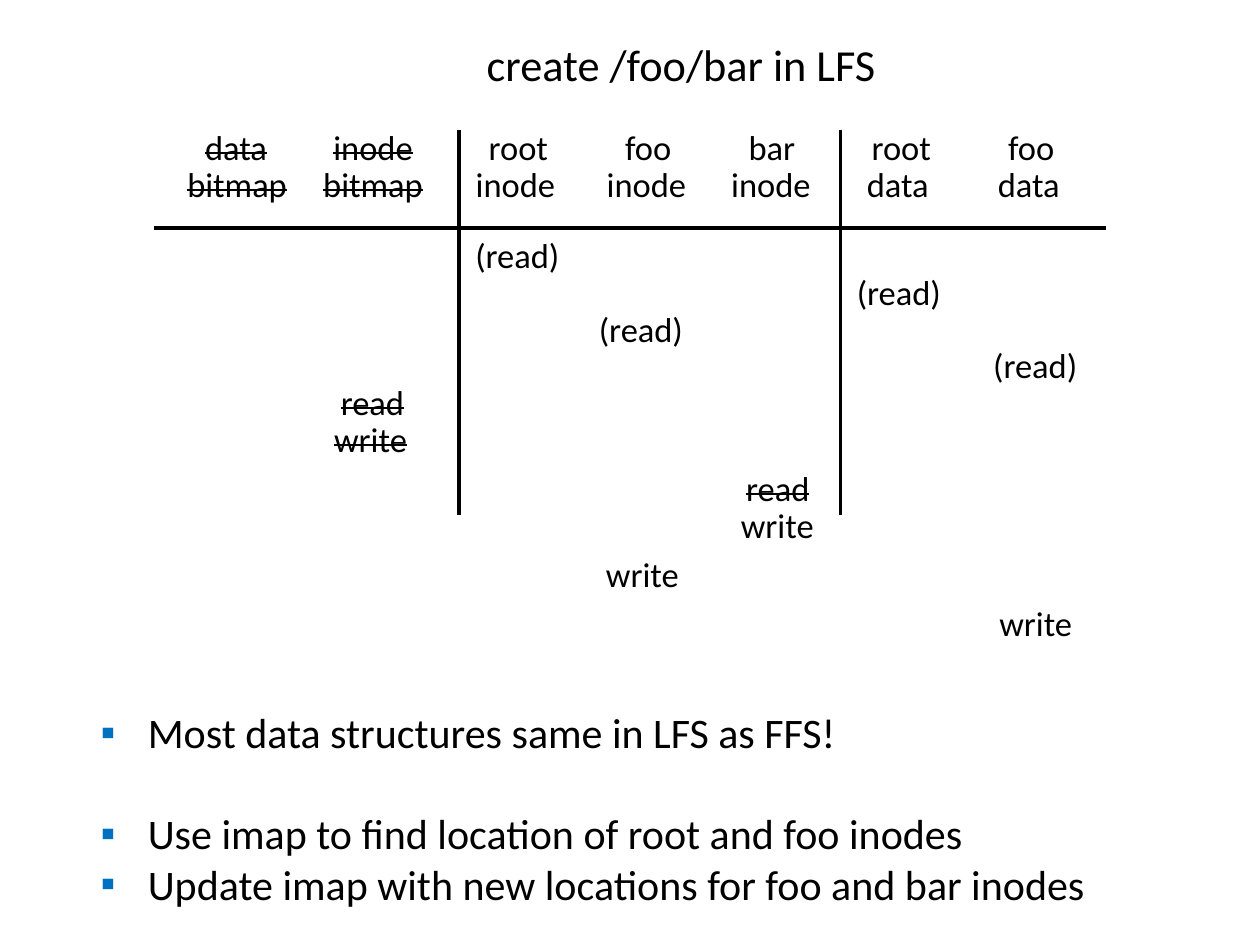
from lxml import etree
from pptx import Presentation
from pptx.dml.color import RGBColor
from pptx.enum.shapes import MSO_CONNECTOR
from pptx.enum.text import MSO_ANCHOR, MSO_AUTO_SIZE, PP_ALIGN
from pptx.oxml.ns import qn
from pptx.util import Cm, Pt

STRAIGHT = MSO_CONNECTOR.STRAIGHT
MIDDLE = MSO_ANCHOR.MIDDLE
GROW = MSO_AUTO_SIZE.SHAPE_TO_FIT_TEXT
CENTER = PP_ALIGN.CENTER

BLACK = RGBColor(0x00, 0x00, 0x00)
BLUE = RGBColor(0x00, 0x70, 0xC0)
FONT = "Calibri"
CELL_PT = 19.7
CELL_H, ROW, GAP = 1.04, 0.74, 0.25  # cell height, row pitch, extra group gap (cm)

# Label widths in cm
WIDTHS = {"data": 1.45, "inode": 1.83, "bitmap": 2.24, "root": 1.4, "foo": 1.14,
          "bar": 1.14, "(read)": 1.9, "read": 1.5, "write": 1.68}

# Column heads: upper word and its centre, lower word and its centre, struck out
HEADS = [
    ("data", 1.66, "bitmap", 1.68, True),
    ("inode", 4.42, "bitmap", 4.42, True),
    ("root", 7.35, "inode", 7.29, False),
    ("foo", 9.97, "inode", 9.93, False),
    ("bar", 12.46, "inode", 12.44, False),
    ("root", 15.07, "data", 15.0, False),
    ("foo", 17.69, "data", 17.64, False),
]

# Operations in time order: word, centre, starts a new group, struck out
OPERATIONS = [
    ("(read)", 7.33, False, False),
    ("(read)", 15.02, False, False),
    ("(read)", 9.82, False, False),
    ("(read)", 17.77, False, False),
    ("read", 4.41, False, True),
    ("write", 4.37, False, True),
    ("read", 12.58, True, True),
    ("write", 12.57, False, False),
    ("write", 9.85, True, False),
    ("write", 17.78, True, False),
]

BULLETS = [  # text, space after in points
    ("Most data structures same in LFS as FFS!", 29),
    ("Use imap to find location of root and foo inodes", 0),
    ("Update imap with new locations for foo and bar inodes", 0),
]


def add_run(p, text, size, strike=False):
    r = p.add_run()
    r.text = text
    r.font.size = Pt(size)
    r.font.name = FONT
    r.font.color.rgb = BLACK
    if strike:
        r.font._element.set("strike", "sngStrike")


def add_label(s, text, left, top, width, height, size, strike=False):
    tf = s.shapes.add_textbox(Cm(left), Cm(top), Cm(width), Cm(height)).text_frame
    tf.word_wrap = False
    tf.auto_size = GROW
    tf.vertical_anchor = MIDDLE
    tf.margin_left = tf.margin_right = tf.margin_top = tf.margin_bottom = Cm(0.1)
    p = tf.paragraphs[0]
    p.alignment = CENTER
    add_run(p, text, size, strike)


def add_rule(s, x1, y1, x2, y2):
    line = s.shapes.add_connector(STRAIGHT, Cm(x1), Cm(y1), Cm(x2), Cm(y2))
    line.line.color.rgb = BLACK
    line.line.width = Pt(2)
    etree.SubElement(line._element.spPr, qn("a:effectLst"))


def add_timeline(s, left, top, width):
    def cell(text, center, y, strike):
        w = WIDTHS[text]
        add_label(s, text, left + center - w / 2, top + y, w, CELL_H, CELL_PT, strike)

    # Column heads
    for upper, upper_x, lower, lower_x, strike in HEADS:
        cell(upper, upper_x, 0, strike)
        cell(lower, lower_x, ROW, strike)

    # Rule under the heads and column group dividers
    add_rule(s, left, top + 2.16, left + width, top + 2.16)
    for x in (6.15, 13.84):
        add_rule(s, left + x, top + 0.18, left + x, top + 7.95)

    # Reads and writes, one row each
    y = 2.18
    for text, center, new_group, strike in OPERATIONS:
        y += GAP if new_group else 0
        cell(text, center, y, strike)
        y += ROW


def add_bullets(s, left, top, width, height):
    tf = s.shapes.add_textbox(Cm(left), Cm(top), Cm(width), Cm(height)).text_frame
    tf.word_wrap = False
    tf.auto_size = GROW
    for i, (text, after) in enumerate(BULLETS):
        p = tf.add_paragraph() if i else tf.paragraphs[0]
        pPr = p._p.get_or_add_pPr()
        pPr.set("marL", str(Cm(0.95)))
        pPr.set("indent", str(-Cm(0.95)))
        color = etree.SubElement(pPr, qn("a:buClr"))
        etree.SubElement(color, qn("a:srgbClr"), val=str(BLUE))
        etree.SubElement(pPr, qn("a:buFont"), typeface="Arial")
        etree.SubElement(pPr, qn("a:buChar"), char="▪")
        p.space_after = Pt(after)
        add_run(p, text, 24)


def main():
    prs = Presentation()
    prs.slide_width, prs.slide_height = Cm(25.4), Cm(19.05)
    s = prs.slides.add_slide(prs.slide_layouts[6])
    add_timeline(s, 3.1, 2.44, 19.2)
    add_label(s, "create /foo/bar in LFS", 9.68, 0.66, 8.1, 1.27, 25.3)
    add_bullets(s, 1.78, 14.12, 20.93, 4.37)
    prs.save("out.pptx")


if __name__ == "__main__":
    main()
